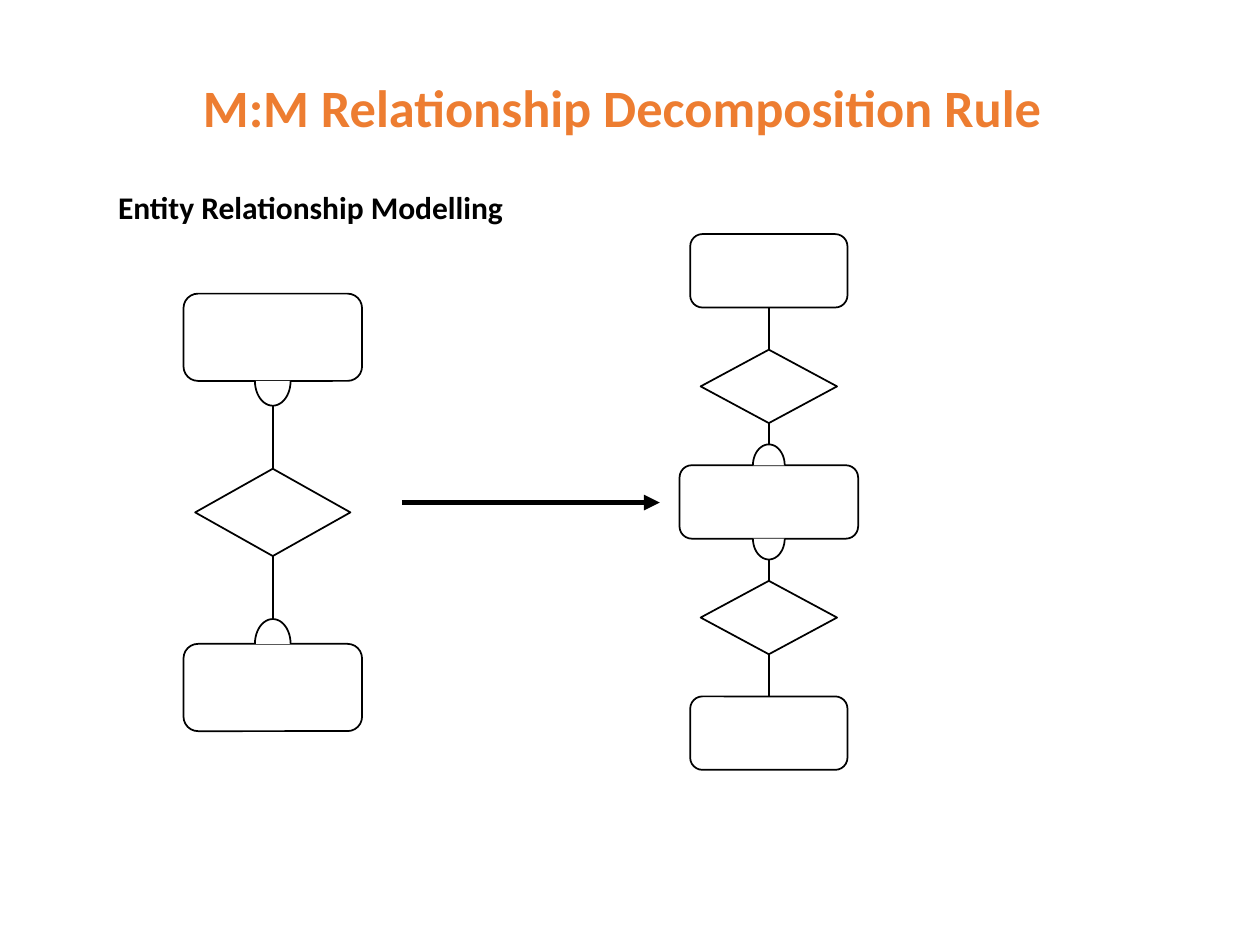
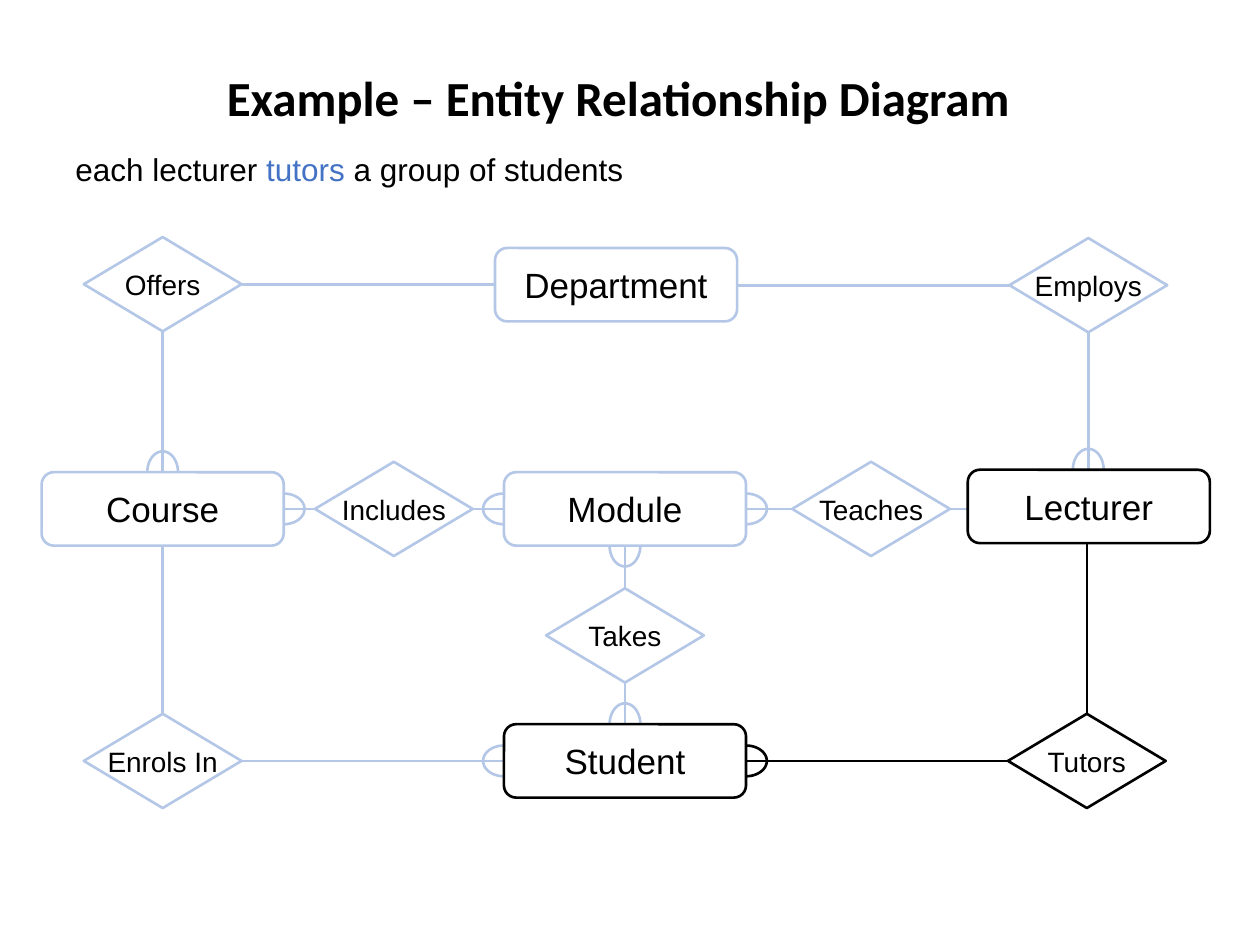
from math import cos, pi, sin

from lxml import etree
from pptx import Presentation
from pptx.dml.color import RGBColor
from pptx.enum.shapes import MSO_CONNECTOR, MSO_SHAPE
from pptx.enum.text import MSO_ANCHOR, PP_ALIGN
from pptx.oxml.ns import qn
from pptx.util import Cm, Pt

BLACK = RGBColor(0x00, 0x00, 0x00)
WHITE = RGBColor(0xFF, 0xFF, 0xFF)
ORANGE = RGBColor(0xED, 0x7D, 0x31)
BLUE = RGBColor(0x44, 0x72, 0xC4)
PALE_BLUE = RGBColor(0xB4, 0xC7, 0xE7)

ENTITY = MSO_SHAPE.ROUNDED_RECTANGLE
RELATIONSHIP = MSO_SHAPE.DIAMOND
SIZES = {ENTITY: (4.88, 1.48), RELATIONSHIP: (3.18, 1.9)}
LABEL_SIZES = {ENTITY: 20, RELATIONSHIP: 16}
ARC_STEPS = 24

# name: (kind, centre x, centre y, line colour)
NODES = {
    "Department": (ENTITY, 12.42, 5.74, PALE_BLUE),
    "Course": (ENTITY, 3.28, 10.26, PALE_BLUE),
    "Module": (ENTITY, 12.6, 10.26, PALE_BLUE),
    "Lecturer": (ENTITY, 21.95, 10.21, BLACK),
    "Student": (ENTITY, 12.6, 15.34, BLACK),
    "Offers": (RELATIONSHIP, 3.28, 5.73, PALE_BLUE),
    "Employs": (RELATIONSHIP, 21.94, 5.75, PALE_BLUE),
    "Includes": (RELATIONSHIP, 7.94, 10.26, PALE_BLUE),
    "Teaches": (RELATIONSHIP, 17.56, 10.26, PALE_BLUE),
    "Takes": (RELATIONSHIP, 12.6, 12.81, PALE_BLUE),
    "Enrols In": (RELATIONSHIP, 3.28, 15.34, PALE_BLUE),
    "Tutors": (RELATIONSHIP, 21.91, 15.34, BLACK),
}
# entity, relationship, whether the entity end is "many"
LINKS = [
    ("Department", "Offers", False),
    ("Course", "Offers", True),
    ("Department", "Employs", False),
    ("Lecturer", "Employs", True),
    ("Course", "Includes", True),
    ("Module", "Includes", True),
    ("Module", "Teaches", True),
    ("Lecturer", "Teaches", False),
    ("Module", "Takes", True),
    ("Student", "Takes", True),
    ("Course", "Enrols In", False),
    ("Student", "Enrols In", True),
    ("Lecturer", "Tutors", False),
    ("Student", "Tutors", True),
]


def style_runs(paragraph, size, font, color, bold=False):
    for run in paragraph.runs:
        run.font.size = Pt(size)
        run.font.name = font
        run.font.color.rgb = color
        run.font.bold = bold


def add_text(slide, box, text, size, font="Calibri", color=BLACK, bold=False):
    text_box = slide.shapes.add_textbox(*map(Cm, box))
    text_box.text_frame.word_wrap = True
    text_box.text_frame.text = text
    paragraph = text_box.text_frame.paragraphs[0]
    style_runs(paragraph, size, font, color, bold)
    return text_box


def add_title(slide, box, text, size, color):
    text_frame = add_text(slide, box, text, size, color=color, bold=True).text_frame
    text_frame.vertical_anchor = MSO_ANCHOR.MIDDLE
    text_frame.paragraphs[0].alignment = PP_ALIGN.CENTER
    text_frame.paragraphs[0].line_spacing = 0.9


def style_outline(shape, color, width, fill):
    shape.shadow.inherit = False
    shape.line.color.rgb = color
    shape.line.width = Pt(width)
    if fill is None:
        shape.fill.background()
    else:
        shape.fill.solid()
        shape.fill.fore_color.rgb = fill


def add_node(shapes, kind, center, size, color, width, fill=None):
    (x, y), (w, h) = center, size
    shape = shapes.add_shape(kind, Cm(x - w / 2), Cm(y - h / 2), Cm(w), Cm(h))
    style_outline(shape, color, width, fill)
    return shape


def add_line(shapes, start, end, color, width):
    line = shapes.add_connector(MSO_CONNECTOR.STRAIGHT, *map(Cm, (*start, *end)))
    line.line.color.rgb = color
    line.line.width = Pt(width)
    etree.SubElement(line._element.spPr, qn("a:effectLst"))
    return line


def add_many_marker(shapes, edge, direction, size, color, width, fill=None):
    """Draw a half ellipse that bulges from the edge point along direction."""
    (x, y), (dx, dy), (span, depth) = edge, direction, size
    points = []
    for step in range(ARC_STEPS + 1):
        angle = pi * step / ARC_STEPS
        along, across = depth * sin(angle), span / 2 * cos(angle)
        points.append((Cm(x + dx * along - dy * across),
                       Cm(y + dy * along + dx * across)))
    builder = shapes.build_freeform(*points[0], scale=1.0)
    builder.add_line_segments(points[1:], close=False)
    style_outline(builder.convert_to_shape(), color, width, fill)


def draw_chain(slide, x, top, step, height, nodes, marker_size):
    """Stack nodes (kind, width, marker directions) joined by lines, as a group."""
    shapes = slide.shapes.add_group_shape().shapes
    for index in range(len(nodes) - 1):
        y = top + index * step
        add_line(shapes, (x, y + height), (x, y + step), BLACK, 1)
    for index, (kind, width, directions) in enumerate(nodes):
        y = top + index * step + height / 2
        add_node(shapes, kind, (x, y), (width, height), BLACK, 1, WHITE)
        for direction in directions:
            add_many_marker(shapes, (x, y + direction * height / 2),
                            (0, direction), marker_size, BLACK, 1, WHITE)


def draw_labelled_node(slide, name):
    kind, x, y, color = NODES[name]
    shape = add_node(slide.shapes, kind, (x, y), SIZES[kind], color, 1.5)
    text_frame = shape.text_frame
    text_frame.word_wrap = False
    text_frame.vertical_anchor = MSO_ANCHOR.MIDDLE
    text_frame.text = name
    text_frame.paragraphs[0].alignment = PP_ALIGN.CENTER
    style_runs(text_frame.paragraphs[0], LABEL_SIZES[kind], "Arial", BLACK)


def draw_link(slide, entity, relationship, many):
    """Join the facing sides of an entity and a relationship with a straight line."""
    _, entity_x, entity_y, _ = NODES[entity]
    _, x, y, color = NODES[relationship]
    (entity_w, entity_h), (w, h) = SIZES[ENTITY], SIZES[RELATIONSHIP]
    if abs(x - entity_x) > abs(y - entity_y):
        sign = 1 if x > entity_x else -1
        direction = (sign, 0)
        start, end = (entity_x + sign * entity_w / 2, y), (x - sign * w / 2, y)
    else:
        sign = 1 if y > entity_y else -1
        direction = (0, sign)
        start, end = (x, entity_y + sign * entity_h / 2), (x, y - sign * h / 2)
    add_line(slide.shapes, start, end, color, 1.5)
    if many:
        add_many_marker(slide.shapes, start, direction, (0.62, 0.42), color, 1.5)


def build_decomposition_slide(slide):
    add_title(slide, (1.3, 1.3, 22.5, 1.85),
              "M:M Relationship Decomposition Rule", 30, ORANGE)
    add_text(slide, (2.13, 3.66, 9.83, 1.6),
             "Entity Relationship Modelling", 18, bold=True)
    draw_chain(slide, 5.5, 5.92, 3.53, 1.76,
               [(ENTITY, 3.6, [1]), (RELATIONSHIP, 3.13, []), (ENTITY, 3.6, [-1])],
               (0.72, 0.5))
    outer, link = (ENTITY, 3.17, []), (RELATIONSHIP, 2.75, [])
    draw_chain(slide, 15.5, 4.72, 2.33, 1.48,
               [outer, link, (ENTITY, 3.6, [-1, 1]), link, outer], (0.64, 0.42))
    arrow = add_line(slide.shapes, (8.1, 10.13), (13.3, 10.13), BLACK, 3)
    etree.SubElement(arrow.line._get_or_add_ln(), qn("a:tailEnd"), type="triangle")


def build_example_slide(slide):
    add_title(slide, (0.84, 0.84, 23.24, 2.39),
              "Example – Entity Relationship Diagram", 28, BLACK)
    caption = add_text(slide, (1.27, 2.9, 22.02, 1.27), "each lecturer ", 18, "Arial")
    paragraph = caption.text_frame.paragraphs[0]
    for text in ("tutors", " a group of students"):
        paragraph.add_run().text = text
    style_runs(paragraph, 18, "Arial", BLACK)
    paragraph.runs[1].font.color.rgb = BLUE
    for link in LINKS:
        draw_link(slide, *link)
    for name in NODES:
        draw_labelled_node(slide, name)


def main():
    presentation = Presentation()
    presentation.slide_width, presentation.slide_height = Cm(25.4), Cm(19.05)
    blank = presentation.slide_layouts[6]
    for build in (build_decomposition_slide, build_example_slide):
        build(presentation.slides.add_slide(blank))
    presentation.save("out.pptx")


if __name__ == "__main__":
    main()
